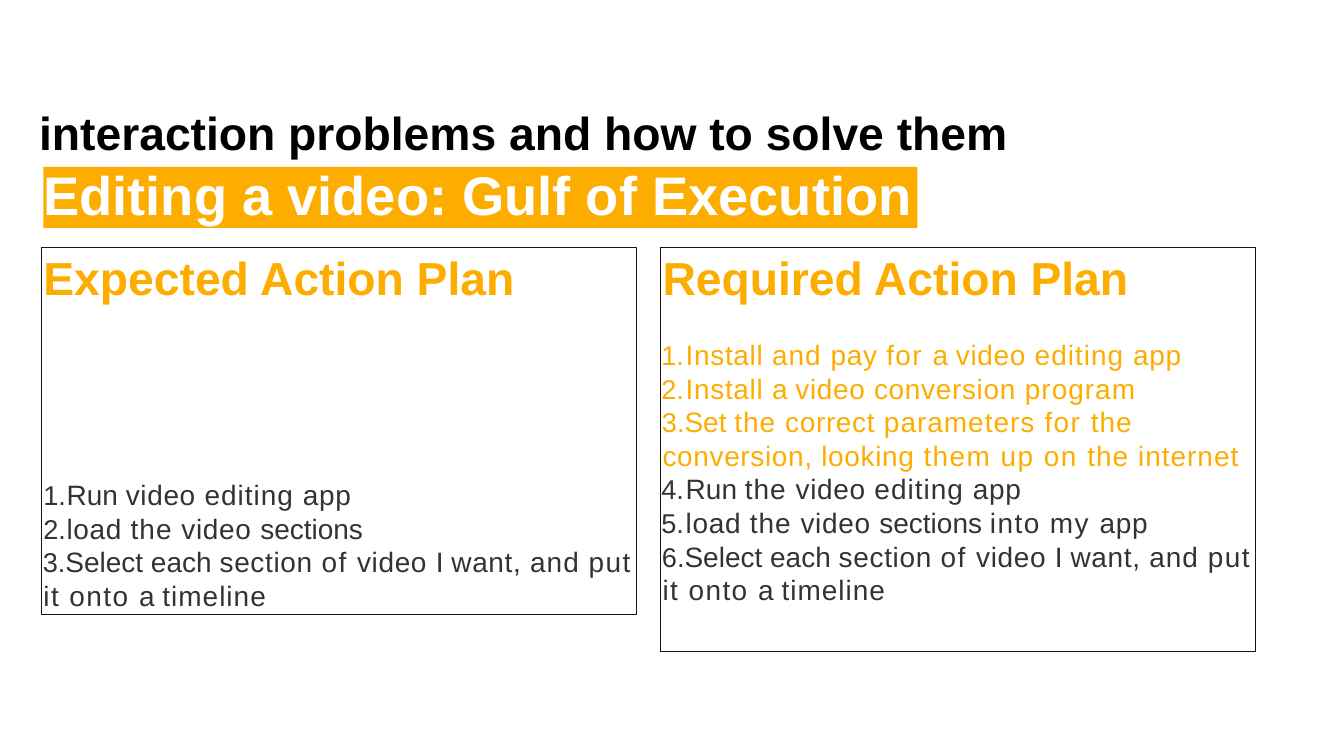
"""Build the slide that compares expected and required action plans."""
from lxml import etree
from pptx import Presentation
from pptx.dml.color import RGBColor
from pptx.enum.shapes import MSO_SHAPE
from pptx.enum.text import MSO_ANCHOR, MSO_AUTO_SIZE, PP_ALIGN
from pptx.oxml.ns import qn
from pptx.util import Inches, Pt

RECT = MSO_SHAPE.RECTANGLE
TOP = MSO_ANCHOR.TOP
FIXED = MSO_AUTO_SIZE.NONE
LEFT = PP_ALIGN.LEFT

THEME = {
    "font": "Arial",
    "black": RGBColor(0, 0, 0),
    "white": RGBColor(255, 255, 255),
    "gold": RGBColor(0xFD, 0xAD, 0x00),
    "gray": RGBColor(0x33, 0x33, 0x33),
    "edge": RGBColor(0x15, 0x15, 0x15),
    "head": 54.5,
    "band": 64,
    "body": 33,
}
TIGHT = "Run a I each Select Set sections".split()
LOOSE = "the and editing timeline program internet parameters".split()
WIDE = "of for put it onto into my them up on".split()
TRACK = {word: gap for words, gap in ((TIGHT, 0), (LOOSE, 120), (WIDE, 170)) for word in words}


def frame_of(shape, inset=0):
    shape.shadow.inherit = False
    frame = shape.text_frame
    frame.word_wrap, frame.auto_size, frame.vertical_anchor = True, FIXED, TOP
    frame.margin_left = frame.margin_right = frame.margin_bottom = 0
    frame.margin_top = Inches(inset)
    return frame


def write(frame, text, size="head", color="gold", bold=True, line=None,
          before=None, left=0, hang=0, number=False):
    para = frame.add_paragraph() if frame.text else frame.paragraphs[0]
    para.alignment = LEFT
    if line:
        para.line_spacing = Pt(line)
    if before:
        para.space_before = Pt(before)
    props = para._p.get_or_add_pPr()
    props.set("marL", str(Inches(left)))
    props.set("indent", str(Inches(-hang)))
    if number:
        etree.SubElement(props, qn("a:buSzPct"), val="97000")
        etree.SubElement(props, qn("a:buAutoNum"), type="arabicPeriod")
        tabs = etree.SubElement(props, qn("a:tabLst"))
        etree.SubElement(tabs, qn("a:tab"), pos=str(Inches(0.42)), algn="l")
    words = text.split() if number else [text]
    for place, word in enumerate(words, 1):
        run = para.add_run()
        run.text = word if place == len(words) else word + " "
        font = run.font
        font.name, font.size, font.bold = THEME["font"], Pt(THEME[size]), bold
        font.color.rgb = THEME[color]
        if number:
            run._r.get_or_add_rPr().set("spc", str(TRACK.get(word, 80)))


deck = Presentation()
deck.slide_width, deck.slide_height = Inches(21.99), Inches(12.37)
slide = deck.slides.add_slide(deck.slide_layouts[5])

title = slide.shapes.title
title.left, title.top = Inches(0.63), Inches(1.68)
title.width, title.height = Inches(16.2), Inches(0.94)
write(frame_of(title, 0.02), "interaction problems and how to solve them",
      color="black", left=0.01)

band = slide.shapes.add_shape(RECT, Inches(0.71), Inches(2.73), Inches(14.3), Inches(1))
band.fill.solid()
band.fill.fore_color.rgb = THEME["gold"]
band.line.fill.background()
write(frame_of(band), "Editing a video: Gulf of Execution", size="band",
      color="white", line=70)

PLANS = [
    (0.67, 6.01, "Expected Action Plan", 204, 0.38, [
        ("Run video editing app", "gray"),
        ("load the video sections", "gray"),
        ("Select each section of video I want, and put it onto a timeline", "gray"),
    ]),
    (10.8, 6.62, "Required Action Plan", 39, 0.4, [
        ("Install and pay for a video editing app", "gold"),
        ("Install a video conversion program", "gold"),
        ("Set the correct parameters for the conversion, looking them up on the internet",
         "gold"),
        ("Run the video editing app", "gray"),
        ("load the video sections into my app", "gray"),
        ("Select each section of video I want, and put it onto a timeline", "gray"),
    ]),
]
for x, height, head, gap, hang, steps in PLANS:
    box = slide.shapes.add_shape(RECT, Inches(x), Inches(4.04), Inches(9.74), Inches(height))
    box.fill.background()
    box.line.color.rgb = THEME["edge"]
    box.line.width = Pt(0.62)
    frame = frame_of(box, 0.03)
    write(frame, head, left=0.04)
    for place, (step, color) in enumerate(steps):
        wraps = len(step) > 45
        write(frame, step, size="body", color=color, bold=False, line=39.6,
              before=0 if place else gap, left=0.04 if wraps else 0.42,
              hang=0.01 if wraps else hang, number=True)

deck.save("out.pptx")
